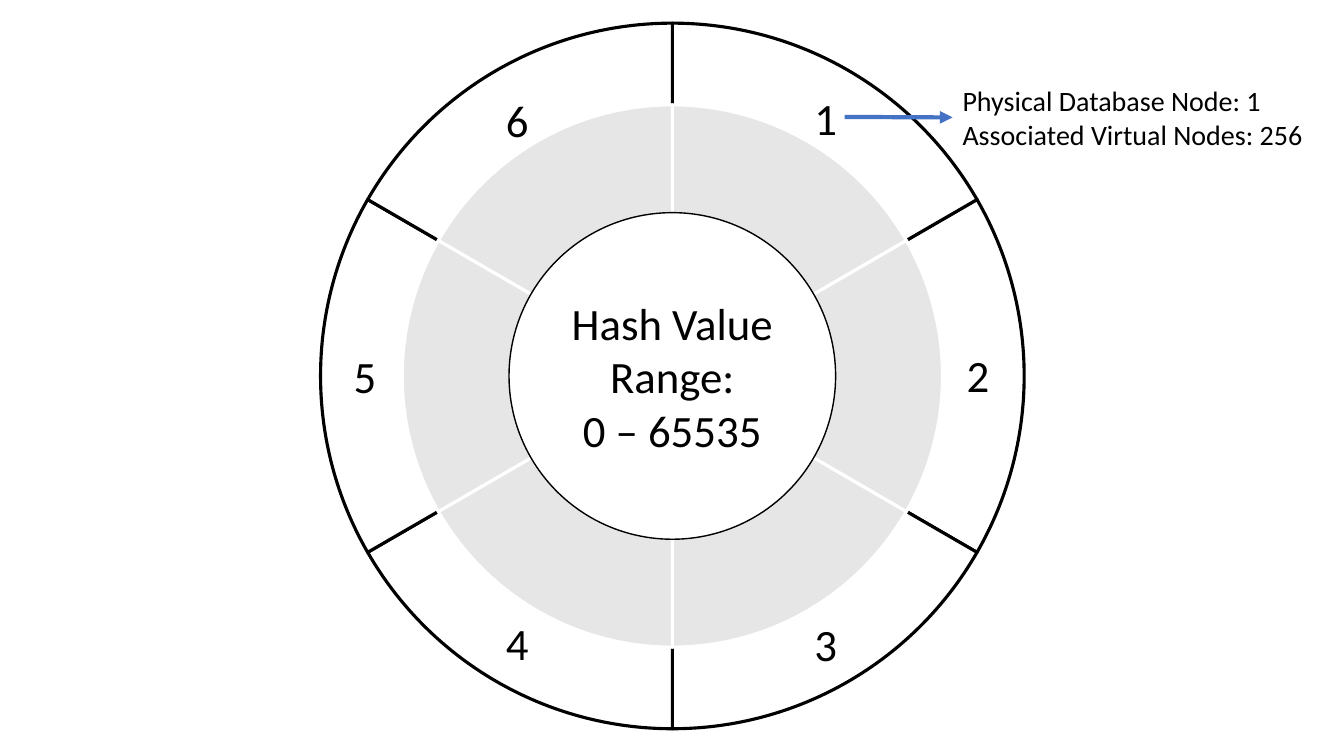
import math
import pptx
import pptx.util
import pptx.dml.color
import pptx.enum.shapes
import pptx.enum.text
import pptx.oxml
import pptx.oxml.ns

PX = 9144  # 100 px to the inch
HUES = {"ink": "000000", "paper": "FFFFFF", "band": "E7E6E6", "arrow": "4472C4"}
MID_X, MID_Y = 667, 373
SPACE = pptx.oxml.ns.nsdecls("a")
TAG = pptx.oxml.ns.qn


def paint(shape, fill, edge, width):
    shape.shadow.inherit = False
    shape.fill.solid()
    shape.fill.fore_color.rgb = pptx.dml.color.RGBColor.from_string(HUES[fill])
    shape.line.color.rgb = pptx.dml.color.RGBColor.from_string(HUES[edge])
    shape.line.width = pptx.util.Pt(width)


def write(shape, lines, size, align, wrap=True):
    frame = shape.text_frame
    frame.word_wrap = wrap
    frame.text = "\n".join(lines)
    form = {"name": "Calibri", "size": pptx.util.Pt(size)}
    for para in frame.paragraphs:
        para.alignment = align
        for key, value in form.items():
            setattr(para.font, key, value)
        para.font.color.rgb = pptx.dml.color.RGBColor.from_string(HUES["ink"])


deck = pptx.Presentation()
deck.slide_width = pptx.util.Inches(13.333)
deck.slide_height = pptx.util.Inches(7.5)
slide = deck.slides.add_slide(deck.slide_layouts[6])
ALIGN = pptx.enum.text.PP_ALIGN
GROW = pptx.enum.text.MSO_AUTO_SIZE.SHAPE_TO_FIT_TEXT

# Two rings of six wedges; a side wedge has a node where its rim is upright
WEDGES = ((60, 90, 120), (0, 60), (120, 180), (180, 240), (240, 270, 300), (300, 360))
wheel = slide.shapes.add_group_shape().shapes
for wide, high, fill, edge in ((349, 350, "paper", "ink"), (268, 269, "band", "paper")):
    for turns in WEDGES:
        rim = []
        for first, last in zip(turns, turns[1:]):
            start, end = math.radians(first), math.radians(last)
            pull = 4 / 3 * math.tan((end - start) / 4)
            for turn, shift in ((start, 0), (start, pull), (end, -pull), (end, 0)):
                across = math.sin(turn) + shift * math.cos(turn)
                up = math.cos(turn) - shift * math.sin(turn)
                rim.append((PX * (MID_X + wide * across), PX * (MID_Y - high * up)))
        points = [rim[i] for i in range(1, len(rim)) if i % 4]
        wedge = wheel.build_freeform(*rim[0])
        wedge.add_line_segments(points + [(PX * MID_X, PX * MID_Y)], close=True)
        shape = wedge.convert_to_shape()
        paint(shape, fill, edge, 2.25)

        # Turn each three rim points into one curve
        lines = list(shape._element.iter(TAG("a:lnTo")))
        for i in range(0, len(points), 3):
            curve = pptx.oxml.parse_xml("<a:cubicBezTo %s/>" % SPACE)
            lines[i].addprevious(curve)
            for line in lines[i:i + 3]:
                curve.append(line[0])
                line.getparent().remove(line)

hub = wheel.add_shape(pptx.enum.shapes.MSO_SHAPE.OVAL,
                      505 * PX, 211 * PX, 324 * PX, 324 * PX)
paint(hub, "paper", "ink", 1)
write(hub, ["Hash Value Range:", "0 – 65535"], 32, ALIGN.CENTER)
hub.text_frame.vertical_anchor = pptx.enum.text.MSO_ANCHOR.MIDDLE

# Note on the first node
note = slide.shapes.add_textbox(945 * PX, 78 * PX, 358 * PX, 77 * PX)
write(note, ["Physical Database Node: 1", "Associated Virtual Nodes: 256"], 20, ALIGN.LEFT)
note.text_frame.auto_size = GROW
arrow = slide.shapes.add_connector(pptx.enum.shapes.MSO_CONNECTOR.STRAIGHT,
                                   838 * PX, 116 * PX, 945 * PX, 117 * PX)
arrow.end_connect(note, 1)
arrow.line.color.rgb = pptx.dml.color.RGBColor.from_string(HUES["arrow"])
arrow.line.width = pptx.util.Pt(3)
props = arrow._element.spPr
props.find(TAG("a:ln")).append(
    pptx.oxml.parse_xml('<a:tailEnd %s type="triangle"/>' % SPACE))
props.append(pptx.oxml.parse_xml("<a:effectLst %s/>" % SPACE))

# Node numbers
SPOTS = ((798, 85), (949, 340), (798, 607), (492, 606), (341, 341), (492, 87))
for node, (left, top) in enumerate(SPOTS, 1):
    label = slide.shapes.add_textbox(left * PX, top * PX, 43 * PX, 64 * PX)
    write(label, [str(node)], 32, ALIGN.LEFT, False)
    label.text_frame.auto_size = GROW

deck.save("out.pptx")
